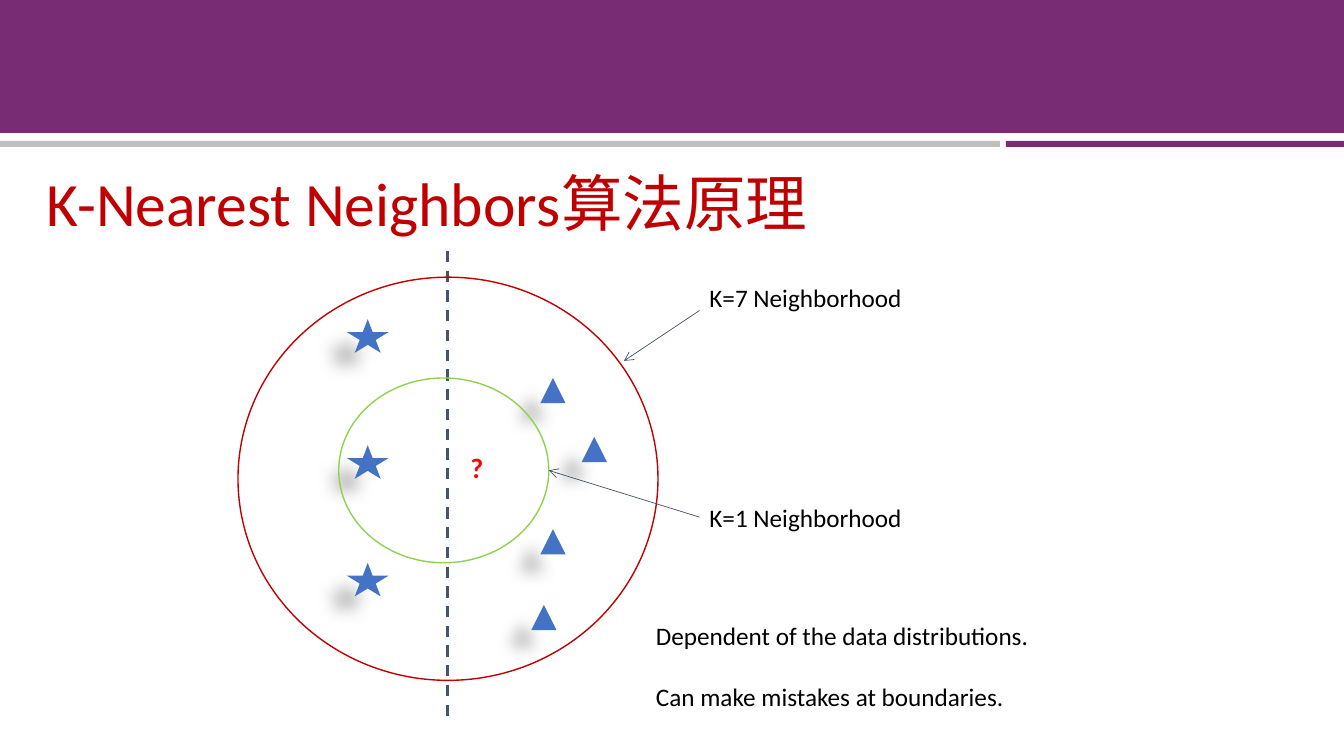
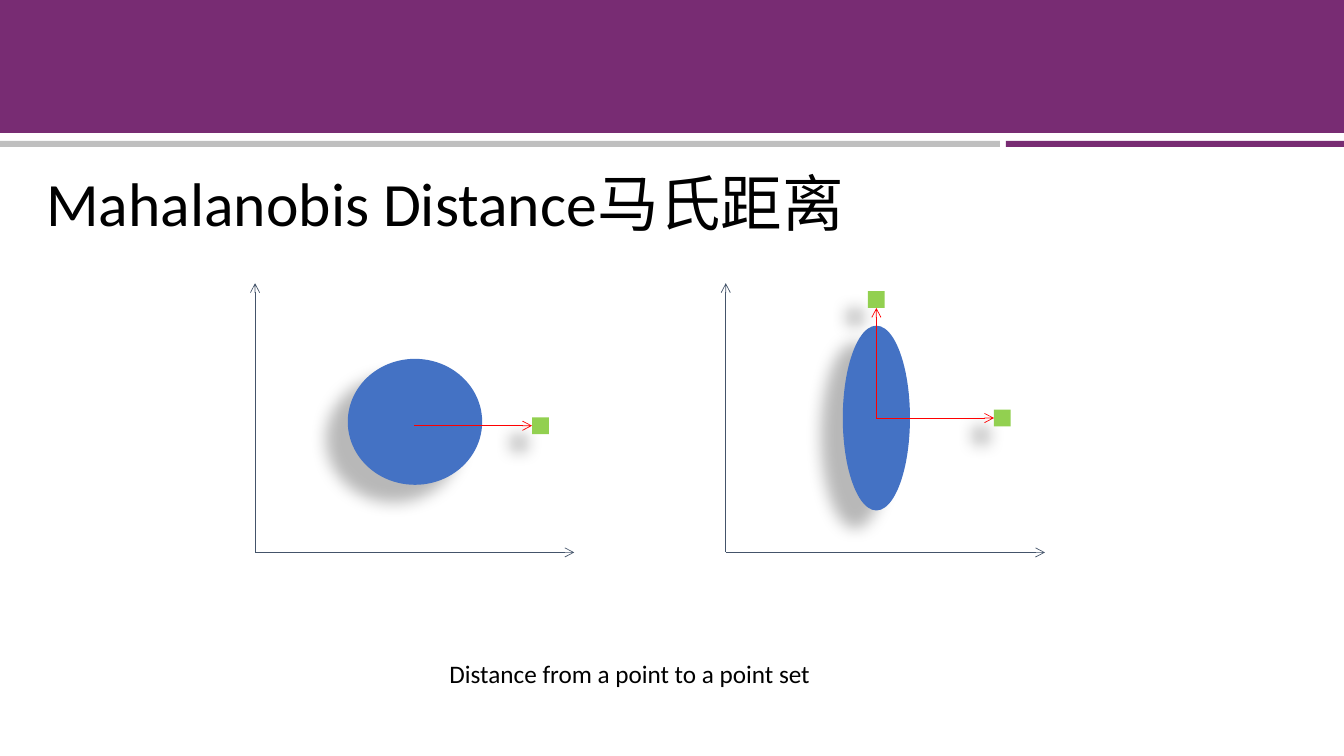
from lxml import etree
from pptx import Presentation
from pptx.dml.color import RGBColor
from pptx.enum.dml import MSO_LINE
from pptx.enum.shapes import MSO_CONNECTOR, MSO_SHAPE
from pptx.enum.text import MSO_ANCHOR
from pptx.oxml.ns import qn
from pptx.util import Pt

STRAIGHT = MSO_CONNECTOR.STRAIGHT
RECT = MSO_SHAPE.RECTANGLE
OVAL = MSO_SHAPE.OVAL
STAR = MSO_SHAPE.STAR_5_POINT
TRIANGLE = MSO_SHAPE.ISOSCELES_TRIANGLE
DASH = MSO_LINE.DASH
MIDDLE = MSO_ANCHOR.MIDDLE
LEFT, BOTTOM = 1, 2

rgb = RGBColor.from_string
FONT = "Calibri"
PURPLE, GREY, SLATE, BLUE = "782C73", "BFBFBF", "44546A", "4472C4"
DARK_RED, RED, GREEN, BLACK = "C00000", "FF0000", "92D050", "000000"


def add_shape(page, kind, at, fill=None, outline=None, shadow=False):
    shape = page.shapes.add_shape(kind, *map(Pt, at))
    shape.shadow.inherit = False
    if fill:
        shape.fill.solid()
        shape.fill.fore_color.rgb = rgb(fill)
    else:
        shape.fill.background()
    if outline:
        shape.line.color.rgb = rgb(outline)
        shape.line.width = Pt(1)
    else:
        shape.line.fill.background()
    if shadow:
        effects = shape.element.spPr.find(qn("a:effectLst"))
        outer = etree.SubElement(
            effects, qn("a:outerShdw"), blurRad=str(Pt(11.8)),
            dist=str(Pt(19.7)), dir=str(141 * 60000), rotWithShape="0")
        black = etree.SubElement(outer, qn("a:srgbClr"), val=BLACK)
        etree.SubElement(black, qn("a:alpha"), val="28000")
    return shape


def add_line(page, start, end, color=SLATE, width=0.5, arrow=True):
    line = page.shapes.add_connector(STRAIGHT, *map(Pt, start + end))
    line.line.color.rgb = rgb(color)
    line.line.width = Pt(width)
    properties = line.element.spPr
    if arrow:
        etree.SubElement(properties.find(qn("a:ln")), qn("a:tailEnd"), type="arrow")
    etree.SubElement(properties, qn("a:effectLst"))
    return line


deck = Presentation()
deck.slide_width, deck.slide_height = Pt(960), Pt(540)
neighbors = deck.slides.add_slide(deck.slide_layouts[6])
distance = deck.slides.add_slide(deck.slide_layouts[6])

for page in (neighbors, distance):
    add_shape(page, RECT, (-0.5, 0, 961, 95), PURPLE)
    add_shape(page, RECT, (-26, 100.6, 740.2, 4.3), GREY)
    add_shape(page, RECT, (718.5, 100.6, 242, 4.3), PURPLE)

texts = [
    (neighbors, (26, 95, 828, 104.4), ["K-Nearest Neighbors算法原理"], 44, DARK_RED),
    (distance, (26, 95, 828, 104.4), ["Mahalanobis Distance马氏距离"], 44, BLACK),
    (neighbors, (329, 318.2, 23.8, 31.7), ["?"], 20, RED),
    (neighbors, (461.5, 439.2, 283.7, 72.7),
     ["Dependent of the data distributions.", "Can make mistakes at boundaries."], 18, BLACK),
    (distance, (313.9, 466.6, 275, 28.8), ["Distance from a point to a point set"], 18, BLACK),
    (neighbors, (499.7, 198, 153.4, 28.8), ["K=7 Neighborhood"], 18, BLACK),
    (neighbors, (499.7, 355, 153.4, 28.8), ["K=1 Neighborhood"], 18, BLACK),
]
for page, at, lines, size, color in texts:
    box = page.shapes.add_textbox(*map(Pt, at))
    frame = box.text_frame
    frame.word_wrap = True
    frame.text = "\n".join(lines)
    for para in frame.paragraphs:
        para.font.name = FONT
        para.font.size = Pt(size)
        para.font.color.rgb = rgb(color)
        para.font.bold = size == 20
        if size == 44:
            frame.vertical_anchor = MIDDLE
            para.line_spacing = 0.9
    for para in frame.paragraphs[1:]:
        para.space_before = Pt(22)
nearest_label = box

for top in (228, 318, 402):
    add_shape(neighbors, STAR, (247.7, top, 30, 24), BLUE, shadow=True)
for left, top in ((386, 270), (386, 378), (415.5, 312), (379.5, 432)):
    add_shape(neighbors, TRIANGLE, (left, top, 18, 18), BLUE, shadow=True)
boundary = add_line(neighbors, (319.7, 179.3), (319.7, 512), width=2, arrow=False)
boundary.line.dash_style = DASH
add_shape(neighbors, OVAL, (170, 198, 300, 288), outline=DARK_RED)
add_shape(neighbors, OVAL, (242, 270, 150, 132), outline=GREEN)
add_line(neighbors, (499.7, 221.8), (445.7, 257.8))
pointer = add_line(neighbors, (499.7, 369.4), (392, 336))
pointer.begin_connect(nearest_label, LEFT)

plots = [
    (182.2, (248.4, 256.3, 96, 90), (296, 304.1), [(380, 298.1, LEFT)]),
    (518.4, (602, 232.6, 48, 132), (626, 298.6), [(620, 208, BOTTOM), (710, 292.6, LEFT)]),
]
for origin, cluster, center, points in plots:
    add_line(distance, (origin, 394.6), (origin + 228, 394.6))
    add_line(distance, (origin, 394.6), (origin, 202.3))
    add_shape(distance, OVAL, cluster, BLUE, shadow=True)
    for left, top, side in points:
        point = add_shape(distance, RECT, (left, top, 12, 12), GREEN, shadow=True)
        arrow = add_line(distance, center, (left, top), RED)
        arrow.end_connect(point, side)

deck.save("out.pptx")
